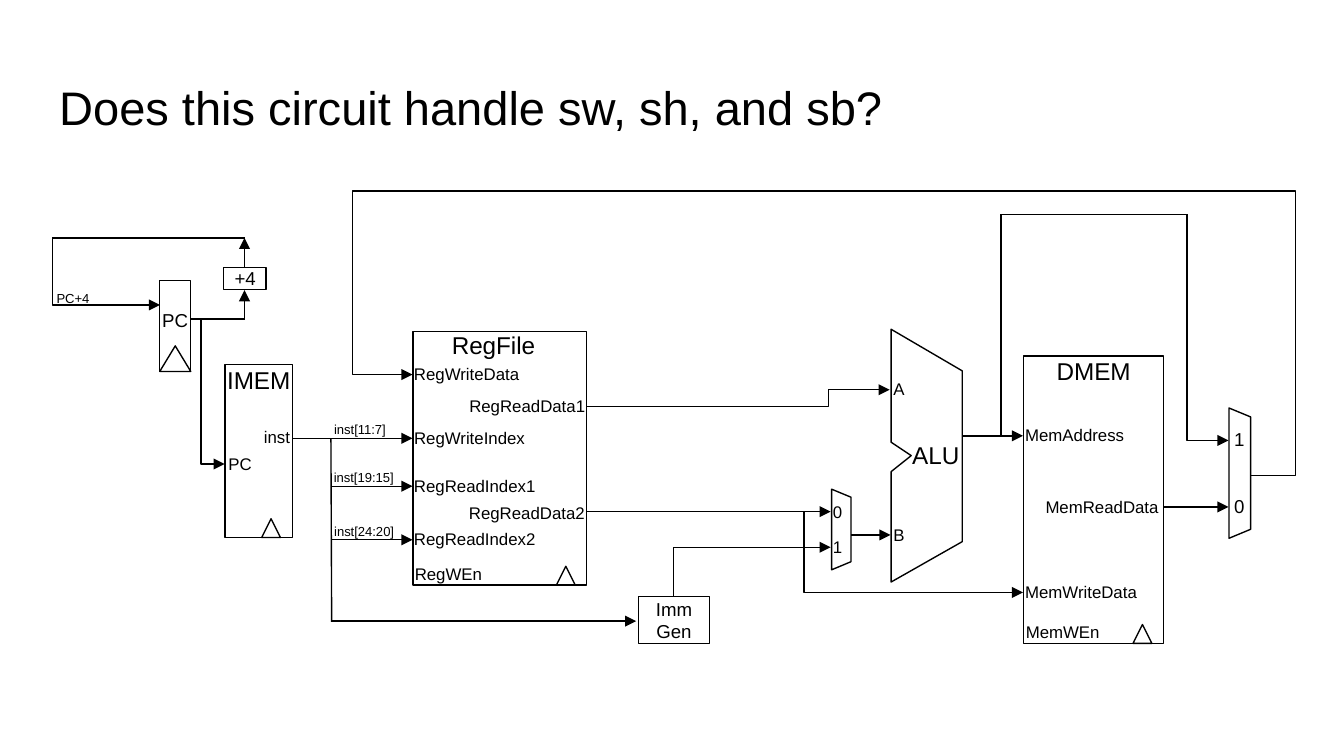
from lxml import etree
from pptx import Presentation
from pptx.dml.color import RGBColor
from pptx.enum.shapes import MSO_CONNECTOR, MSO_SHAPE
from pptx.enum.text import MSO_ANCHOR, PP_ALIGN
from pptx.oxml.ns import qn
from pptx.util import Pt

RECT, TRIANGLE = MSO_SHAPE.RECTANGLE, MSO_SHAPE.ISOSCELES_TRIANGLE
TRAPEZOID = MSO_SHAPE.TRAPEZOID
LEFT, CENTER, RIGHT = PP_ALIGN.LEFT, PP_ALIGN.CENTER, PP_ALIGN.RIGHT
FONT, INK, LINE_WIDTH = "Arial", "000000", 0.75

# Content, in points
TITLE = "Does this circuit handle sw, sh, and sb?"

ALU_OUTLINE = [(477.4, 236.9), (477.4, 176.4), (515.5, 198.7), (515.5, 290.2),
               (477.4, 311.8), (477.4, 252.7), (488.2, 244.1)]

# Clock: left, width, height; it stands on the bottom of its box.
# Label: text, left, top, width, font size, alignment, lines if more than one
COMPONENTS = [
    {"body": (342, 319.7, 38.2, 25.2),
     "labels": [("Imm Gen", 342.7, 320.2, 36.7, 10, CENTER, 2)]},
    {"mux": (445.5, 262.1, 10.4, 43.2), "slant": 0.416,
     "labels": [("0", 446.2, 268.9, 7.2, 9, LEFT),
                ("1", 446.2, 287.3, 7.2, 9, LEFT)]},
    {"body": (548.4, 190.8, 75, 153.9), "clock": (607, 10.1, 10.1),
     "labels": [("DMEM", 548.4, 190.8, 75, 13, CENTER),
                ("MemWEn", 547.7, 333, 43.2, 9, CENTER),
                ("MemReadData", 556.6, 266, 64, 9, RIGHT),
                ("MemWriteData", 549.2, 311.8, 67, 9, LEFT),
                ("MemAddress", 549.2, 227.5, 55.4, 9, LEFT)]},
    {"mux": (658.4, 218.6, 11.6, 69.8), "slant": 0.414,
     "labels": [("0", 658.9, 265, 10.1, 10, CENTER),
                ("1", 658.9, 229, 10.1, 10, CENTER)]},
    {"body": (120.6, 195.3, 36, 92.7), "clock": (140.2, 10.1, 10.1),
     "labels": [("IMEM", 120.6, 195.8, 36, 13, CENTER),
                ("PC", 121, 243, 15.1, 9, CENTER),
                ("inst", 136, 228.8, 19.4, 9, RIGHT)]},
    {"body": (119.6, 143.3, 23, 11.8),
     "labels": [("+4", 120.2, 142.9, 22.3, 10, CENTER)]},
    {"body": (85.6, 150.3, 16.6, 48.7), "clock": (85.6, 16.6, 13.7),
     "labels": [("PC", 86.4, 165.6, 14.8, 10, CENTER)]},
    {"body": (221.2, 177.6, 92.9, 135.9), "clock": (298.1, 10.1, 10.1),
     "labels": [("RegFile", 221.5, 177.1, 85.7, 13, CENTER),
                ("RegWriteData", 221.8, 195.1, 57.6, 9, LEFT),
                ("RegWriteIndex", 221.8, 229.3, 61.2, 9, LEFT),
                ("RegReadIndex1", 221.8, 255, 66, 9, LEFT),
                ("RegReadIndex2", 221.8, 283.5, 66, 9, LEFT),
                ("RegReadData1", 250.4, 212.1, 63, 9, RIGHT),
                ("RegReadData2", 250.2, 269.5, 63, 9, RIGHT),
                ("RegWEn", 221.7, 301.9, 37, 9, CENTER)]},
    {"outline": ALU_OUTLINE,
     "labels": [("ALU", 488, 236, 26.6, 13, CENTER),
                ("A", 478.7, 203.1, 7.2, 9, LEFT),
                ("B", 478.7, 280.9, 7.2, 9, LEFT)]},
]

WIRE_LABELS = [
    ("PC+4", 29, 155.4, 20.2, 7, CENTER),
    ("inst[11:7]", 179, 225.8, 30.5, 7, LEFT),
    ("inst[19:15]", 178.8, 251.5, 34.6, 7, LEFT),
    ("inst[24:20]", 179, 280.3, 34.6, 7, LEFT),
]

ARROW_WIRES = [
    [(177.5, 332.8), (340.8, 332.8)],                       # inst to Imm Gen
    [(177.5, 260.5), (221, 260.5)],                         # read index 1
    [(156.9, 234.8), (221, 234.8)],                         # write index
    [(177.5, 289.2), (221, 289.2)],                         # read index 2
    [(455.8, 286.6), (477.1, 286.6)],                       # mux to ALU B
    [(360.7, 319.7), (360.7, 293.2), (445, 293.2)],         # immediate to mux
    [(515.5, 233.5), (548.1, 233.5)],                       # ALU to memory
    [(670, 254.6), (694, 254.6), (694, 102.4), (188.8, 102.4),
     (188.8, 200.7), (221, 200.7)],                         # write-back
    [(635.8, 114.9), (635.8, 236), (658.1, 236)],           # ALU to write-back mux
    [(623.5, 271.6), (658.1, 271.6)],                       # memory to write-back mux
    [(107.7, 170.9), (107.7, 248.6), (120.4, 248.6)],       # PC to IMEM
    [(131, 171), (131, 155.5)],                             # PC to +4
    [(131, 143.2), (131, 127.4)],                           # +4 out
    [(28.1, 127.5), (28.1, 163.4), (85.7, 163.4)],          # next PC
    [(314.3, 217.9), (443.7, 217.9), (443.7, 208.8), (476.6, 208.8)],
    [(314.3, 274.1), (445, 274.1)],                         # read data 2 to mux
    [(430.7, 274.1), (430.7, 317.4), (548.1, 317.4)],       # read data 2 to memory
]
PLAIN_WIRES = [
    [(536, 114.9), (635.8, 114.9)],
    [(536.2, 233.5), (536.2, 114.9)],
    [(28.1, 127.5), (131, 127.5)],
    [(102.5, 170.9), (131.5, 170.9)],
    [(177.3, 234.8), (177.7, 333.1)],
]


def color(hex_code):
    return RGBColor.from_string(hex_code)


def pts(values):
    return [Pt(v) for v in values]


def set_line(item):
    item.line.color.rgb = color(INK)
    item.line.width = Pt(LINE_WIDTH)


def style_outline(shape):
    shape.shadow.inherit = False
    shape.fill.background()
    set_line(shape)


def write(frame, text, size, align):
    frame.word_wrap = True
    paragraph = frame.paragraphs[0]
    paragraph.alignment = align
    run = paragraph.add_run()
    run.text = text
    run.font.name = FONT
    run.font.size = Pt(size)
    run.font.color.rgb = color(INK)


def add_label(shapes, text, left, top, width, size, align, lines=1):
    box = (left, top, width, size * 1.2 * lines)
    frame = shapes.add_textbox(*pts(box)).text_frame
    frame.margin_left = frame.margin_right = 0
    frame.margin_top = frame.margin_bottom = 0
    write(frame, text, size, align)


def add_preset(shapes, kind, box):
    shape = shapes.add_shape(kind, *pts(box))
    style_outline(shape)
    return shape


def add_mux(shapes, box, slant):
    left, top, width, height = box
    shift = (height - width) / 2  # the box before its quarter turn
    mux = add_preset(shapes, TRAPEZOID, (left - shift, top + shift, height, width))
    mux.adjustments[0] = slant
    mux.rotation = 90


def add_outline(shapes, points, close):
    start, *rest = [pts(point) for point in points]
    builder = shapes.build_freeform(*start)
    builder.add_line_segments(rest, close=close)
    shape = builder.convert_to_shape()
    style_outline(shape)
    return shape


def add_component(shapes, component):
    parts = shapes.add_group_shape().shapes
    if "body" in component:
        add_preset(parts, RECT, component["body"])
    if "mux" in component:
        add_mux(parts, component["mux"], component["slant"])
    if "outline" in component:
        add_outline(parts, component["outline"], close=True)
    if "clock" in component:
        left, width, height = component["clock"]
        bottom = component["body"][1] + component["body"][3]
        add_preset(parts, TRIANGLE, (left, bottom - height, width, height))
    for label in component["labels"]:
        add_label(parts, *label)


def add_wire(shapes, points, arrow):
    if len(points) == 2:
        wire = shapes.add_connector(MSO_CONNECTOR.STRAIGHT, *pts(points[0] + points[1]))
        set_line(wire)
        etree.SubElement(wire.element.spPr, qn("a:effectLst"))
    else:
        wire = add_outline(shapes, points, close=False)
    if arrow:
        line = wire.element.spPr.find(qn("a:ln"))
        etree.SubElement(line, qn("a:tailEnd"), type="triangle")


def main():
    deck = Presentation()
    deck.slide_width, deck.slide_height = Pt(720), Pt(405)
    slide = deck.slides.add_slide(deck.slide_layouts[5])
    shapes = slide.shapes

    # Title
    title = shapes.title
    title.left, title.top, title.width, title.height = pts((24.5, 34.3, 671, 45.4))
    title.text_frame.vertical_anchor = MSO_ANCHOR.MIDDLE
    write(title.text_frame, TITLE, 25.2, LEFT)

    # Circuit
    for component in COMPONENTS:
        add_component(shapes, component)
    for wires, arrow in ((ARROW_WIRES, True), (PLAIN_WIRES, False)):
        for points in wires:
            add_wire(shapes, points, arrow)
    for label in WIRE_LABELS:
        add_label(shapes, *label)

    deck.save("out.pptx")


if __name__ == "__main__":
    main()
